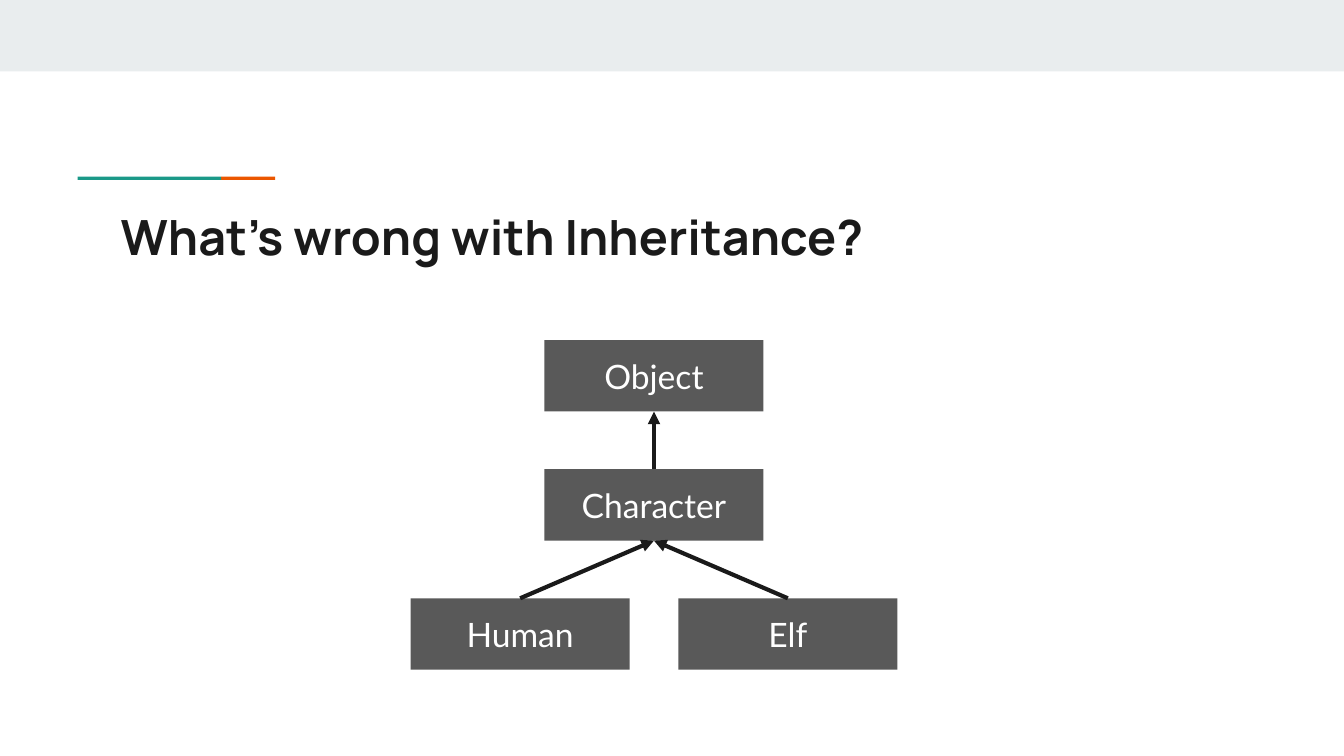
from lxml import etree
from pptx import Presentation
from pptx.dml.color import RGBColor
from pptx.enum import shapes, text
from pptx.oxml.ns import qn
from pptx.util import Cm, Pt

TITLE = "What’s wrong with Inheritance?"
# class name, parent class, row, column offset from the centre
CLASSES = [
    ("Object", None, 0, 0),
    ("Character", "Object", 1, 0),
    ("Elf", "Character", 2, 1),
    ("Human", "Character", 2, -1),
]
THEME = {
    "band": "E9EDEE", "teal": "1A9988", "orange": "EB5600",
    "ink": "1A1A1A", "box": "595959", "white": "FFFFFF",
    "title_font": "Manrope", "title_size": 26,
    "body_font": "Lato", "body_size": 18, "line": 2.25,
}
WIDTH, HEIGHT = 25.4, 14.29
BOX_W, BOX_H = 4.14, 1.35
CENTRE_X, COL_STEP = 12.36, 2.53
TOP_Y, ROW_STEP = 6.43, 2.44


def color(name):
    return RGBColor.from_string(THEME[name])


def add_rect(s, x, y, w, h, fill):
    sp = s.shapes.add_shape(shapes.MSO_SHAPE.RECTANGLE, Cm(x), Cm(y), Cm(w), Cm(h))
    sp.shadow.inherit = False
    sp.fill.solid()
    sp.fill.fore_color.rgb = color(fill)
    sp.line.fill.background()
    return sp


def write(sp, content, kind, ink, align, anchor, bold=False):
    tf = sp.text_frame
    tf.word_wrap = True
    tf.vertical_anchor = anchor
    tf.margin_left = tf.margin_right = tf.margin_top = tf.margin_bottom = Cm(0.25)
    p = tf.paragraphs[0]
    p.alignment = align
    r = p.add_run()
    r.text = content
    r.font.name = THEME[kind + "_font"]
    r.font.size = Pt(THEME[kind + "_size"])
    r.font.bold = bold
    r.font.color.rgb = color(ink)


def add_arrow(s, child, parent):
    cx = s.shapes.add_connector(shapes.MSO_CONNECTOR.STRAIGHT, 0, 0, 0, 0)
    cx.begin_connect(child, 0)
    cx.end_connect(parent, 2)
    cx.line.color.rgb = color("ink")
    cx.line.width = Pt(THEME["line"])
    etree.SubElement(cx.line._get_or_add_ln(), qn("a:tailEnd"), type="triangle")
    etree.SubElement(cx._element.spPr, qn("a:effectLst"))


prs = Presentation()
prs.slide_width, prs.slide_height = Cm(WIDTH), Cm(HEIGHT)
s = prs.slides.add_slide(prs.slide_layouts[6])

add_rect(s, 0, 0, WIDTH, 1.35, "band")
add_rect(s, 4.18, 3.34, 1.02, 0.06, "orange")
add_rect(s, 1.47, 3.34, 2.71, 0.06, "teal")

title = s.shapes.add_textbox(Cm(2.03), Cm(3.66), Cm(21.36), Cm(1.5))
write(title, TITLE, "title", "ink", text.PP_ALIGN.LEFT, text.MSO_ANCHOR.TOP, bold=True)

boxes = {}
for name, parent, row, col in CLASSES:
    x = CENTRE_X + col * COL_STEP - BOX_W / 2
    sp = add_rect(s, x, TOP_Y + row * ROW_STEP, BOX_W, BOX_H, "box")
    write(sp, name, "body", "white", text.PP_ALIGN.CENTER, text.MSO_ANCHOR.MIDDLE)
    boxes[name] = sp
    if parent:
        add_arrow(s, sp, boxes[parent])

prs.save("out.pptx")
